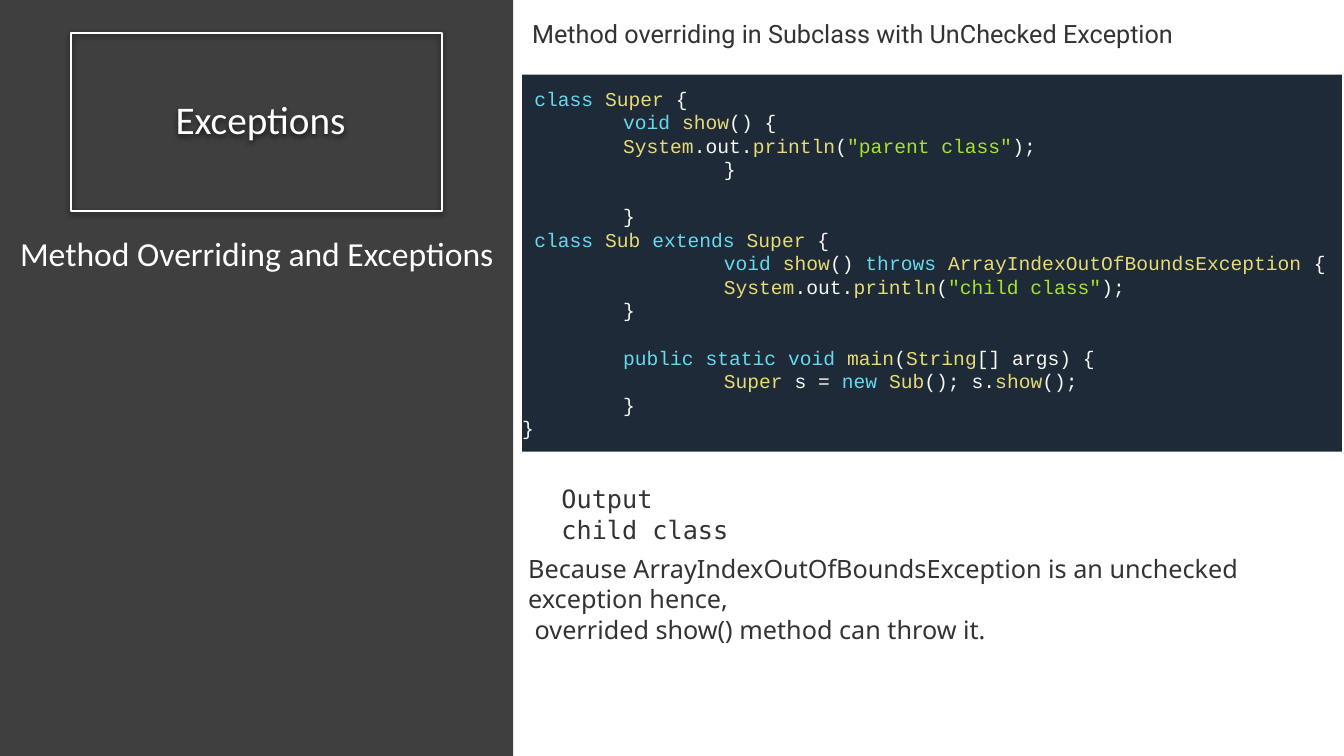
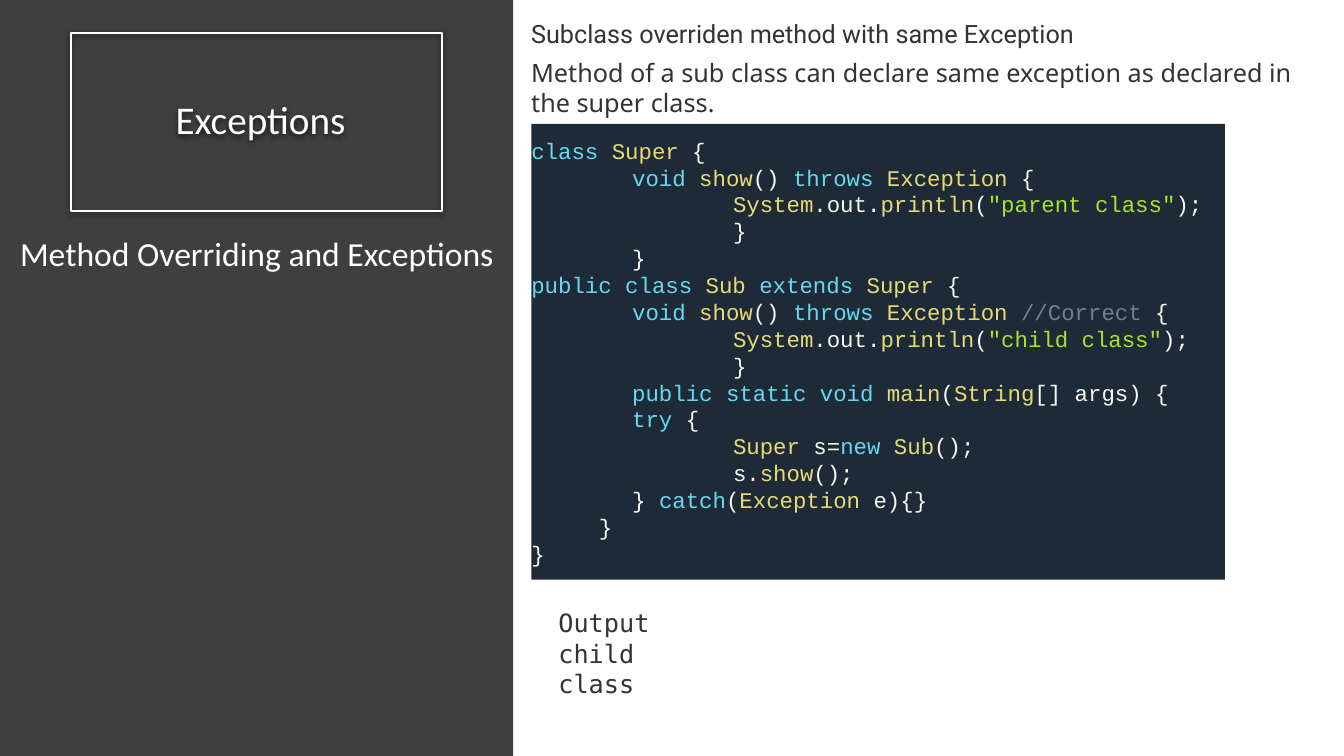
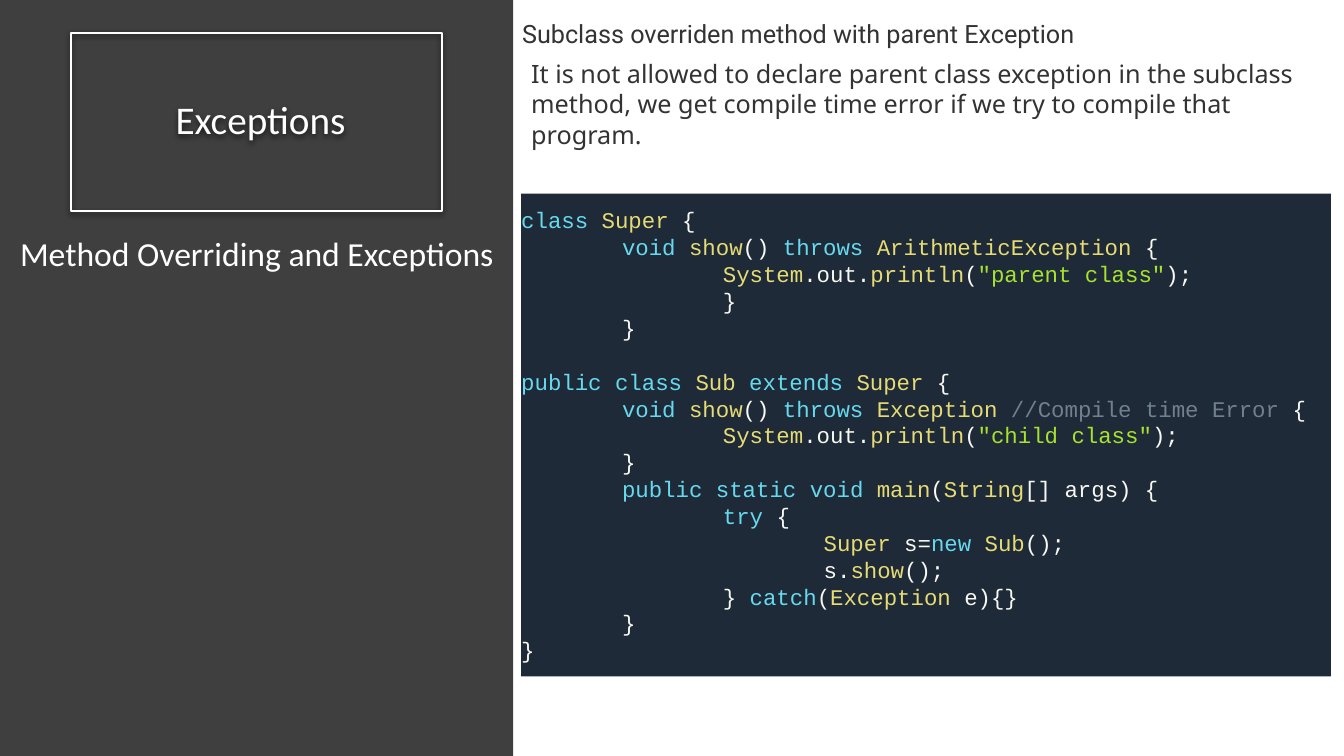
"""Three slides on method overriding and exceptions, with highlighted Java code."""
from itertools import groupby
from lxml import etree
from pptx import Presentation
from pptx.dml.color import RGBColor
from pptx.enum import shapes, text
from pptx.oxml import ns
from pptx.util import Inches, Pt

WHITE = RGBColor(0xFF, 0xFF, 0xFF)
SLATE = RGBColor(0x3F, 0x3F, 0x3F)
INK = RGBColor(0x33, 0x33, 0x33)
NAVY = RGBColor(0x1E, 0x2A, 0x37)
CYAN = RGBColor(0x66, 0xD9, 0xEF)
GOLD = RGBColor(0xE6, 0xDB, 0x74)
LIME = RGBColor(0xA6, 0xE2, 0x2E)
GRAY = RGBColor(0x70, 0x80, 0x90)
PALE = RGBColor(0xF8, 0xF8, 0xF2)

TITLE = " Exceptions"
TOPIC = "Method Overriding and Exceptions"
SANS, MONO = "Noto Sans", "DejaVu Sans Mono"
KEYS = set("class void extends throws public static new try catch".split())
CALLS = {"show", "main", "println"}
BLANK = (0, "")

SLIDES = [
    {
        "head": (5.18, "Method overriding in Subclass with UnChecked Exception"),
        "notes": [
            ((5.47, 4.75, 6.67, 0.71), MONO, ["Output", "child class"]),
            ((5.14, 5.44, 8.05, 1.01), SANS, [
                "Because ArrayIndexOutOfBoundsException is an unchecked exception hence,",
                " overrided show() method can throw it."]),
        ],
        "box": (5.18, 0.74, 8.13, 3.74),
        "size": 14,
        "code": [
            (0.12, "class Super {"),
            (1, "void show() {"),
            (1, 'System.out.println("parent class");'),
            (2, "}"),
            BLANK,
            (1, "}"),
            (0.12, "class Sub extends Super {"),
            (2, "void show() throws ArrayIndexOutOfBoundsException {"),
            (2, 'System.out.println("child class");'),
            (1, "}"),
            BLANK,
            (1, "public static void main(String[] args) {"),
            (2, "Super s = new Sub(); s.show();"),
            (1, "}"),
            (0, "}"),
        ],
    },
    {
        "head": (5.17, "Subclass overriden method with same Exception"),
        "notes": [
            ((5.17, 0.52, 8.04, 0.71), SANS, [
                "Method of a sub class can declare same exception "
                "as declared in the super class."]),
            ((5.44, 5.98, 1.23, 1.01), MONO, ["Output", "child class"]),
        ],
        "box": (5.27, 1.23, 6.88, 4.52),
        "size": 16,
        "code": [
            (0, "class Super {"),
            (1, "void show() throws Exception {"),
            (2, 'System.out.println("parent class");'),
            (2, "}"),
            (1, "}"),
            (0, "public class Sub extends Super {"),
            (1, "void show() throws Exception //Correct {"),
            (2, 'System.out.println("child class");'),
            (2, "}"),
            (1, "public static void main(String[] args) {"),
            (1, "try {"),
            (2, "Super s=new Sub();"),
            (2, "s.show();"),
            (1, "} catch(Exception e){}"),
            (0.67, "}"),
            (0, "}"),
        ],
    },
    {
        "head": (5.08, "Subclass overriden method with parent Exception"),
        "notes": [
            ((5.17, 0.53, 8.16, 1.01), SANS, [
                "It is not allowed to declare parent class exception in the "
                "subclass method, we get compile time error if we try to "
                "compile that program."]),
        ],
        "box": (5.17, 1.92, 8.03, 4.79),
        "size": 16,
        "code": [
            (0, "class Super {"),
            (1, "void show() throws ArithmeticException {"),
            (2, 'System.out.println("parent class");'),
            (2, "}"),
            (1, "}"),
            BLANK,
            (0, "public class Sub extends Super {"),
            (1, "void show() throws Exception //Compile time Error {"),
            (2, 'System.out.println("child class");'),
            (1, "}"),
            (1, "public static void main(String[] args) {"),
            (2, "try {"),
            (3, "Super s=new Sub();"),
            (3, "s.show();"),
            (2, "} catch(Exception e){}"),
            (1, "}"),
            (0, "}"),
        ],
    },
]


def style(run, size, face, hue):
    run.font.size, run.font.name = Pt(size), face
    run.font.color.rgb = hue


def write(slide, box, lines, size, face, hue):
    frame = slide.shapes.add_textbox(*map(Inches, box)).text_frame
    frame.word_wrap = True
    frame.text = "\n".join(lines)
    for para in frame.paragraphs:
        for run in para.runs:
            style(run, size, face, hue)


def rect(slide, box, fill=None):
    shape = slide.shapes.add_shape(shapes.MSO_SHAPE.RECTANGLE, *map(Inches, box))
    shape.shadow.inherit = False
    shape.line.fill.background()
    if fill is None:
        shape.fill.background()
    else:
        shape.fill.solid()
        shape.fill.fore_color.rgb = fill
    return shape


def shade(shape):
    glow = shape._element.spPr.find(ns.qn("a:effectLst"))
    cast = etree.SubElement(glow, ns.qn("a:outerShdw"), blurRad=str(Pt(4.5)),
                            dist=str(Pt(1.5)), dir="5400000", rotWithShape="0")
    tint = etree.SubElement(cast, ns.qn("a:srgbClr"), val="000000")
    etree.SubElement(tint, ns.qn("a:alpha"), val="63000")


def panel(slide):
    rect(slide, (0, 0, 5.09, 7.5), SLATE)
    title = rect(slide, (0.7, 0.33, 3.68, 1.76))
    title.line.color.rgb, title.line.width = WHITE, Pt(1.5)
    shade(title)
    frame = title.text_frame
    frame.text = TITLE
    frame.vertical_anchor = text.MSO_ANCHOR.MIDDLE
    para = frame.paragraphs[0]
    para.alignment, para.line_spacing = text.PP_ALIGN.CENTER, 0.9
    style(para.runs[0], 28, "Calibri", WHITE)
    write(slide, (0.1, 2.26, 4.99, 0.5), [TOPIC], 24, "Calibri", WHITE)


def words(part):
    for _, group in groupby(part, str.isalnum):
        word = "".join(group)
        named = word in CALLS or word[0].isupper()
        yield word, CYAN if word in KEYS else GOLD if named else PALE


def scan(line):
    for i, part in enumerate(line.split('"')):
        if i % 2:
            yield f'"{part}"', LIME
            continue
        head, mark, tail = part.partition("//")
        yield from words(head)
        if mark:
            note, gap, end = tail.rpartition(" ")
            yield mark + note, GRAY
            yield gap + end, PALE


def listing(slide, box, size, code):
    frame = rect(slide, box, NAVY).text_frame
    frame.word_wrap = True
    frame.vertical_anchor = text.MSO_ANCHOR.MIDDLE
    frame.margin_left = frame.margin_right = 0
    frame.margin_top = frame.margin_bottom = Inches(0.1)
    pitch = Pt(size * 1.2)
    rows = [(depth, line, i > 0 and code[i - 1] == BLANK)
            for i, (depth, line) in enumerate(code) if line]
    for i, (depth, line, gap) in enumerate(rows):
        para = frame.add_paragraph() if i else frame.paragraphs[0]
        para.alignment, para.line_spacing = text.PP_ALIGN.LEFT, pitch
        para.space_before = pitch if gap else Pt(0)
        para._p.get_or_add_pPr().set("marL", str(Inches(depth)))
        for word, hue in scan(line):
            run = para.add_run()
            run.text = word
            style(run, size, "Courier New", hue)


def main():
    deck = Presentation()
    deck.slide_width, deck.slide_height = Inches(13.33), Inches(7.5)
    for item in SLIDES:
        slide = deck.slides.add_slide(deck.slide_layouts[6])
        panel(slide)
        left, head = item["head"]
        write(slide, (left, 0.13, 8, 0.4), [head], 18, "Roboto", INK)
        listing(slide, item["box"], item["size"], item["code"])
        for box, face, lines in item["notes"]:
            write(slide, box, lines, 18, face, INK)
    deck.save("out.pptx")


if __name__ == "__main__":
    main()
